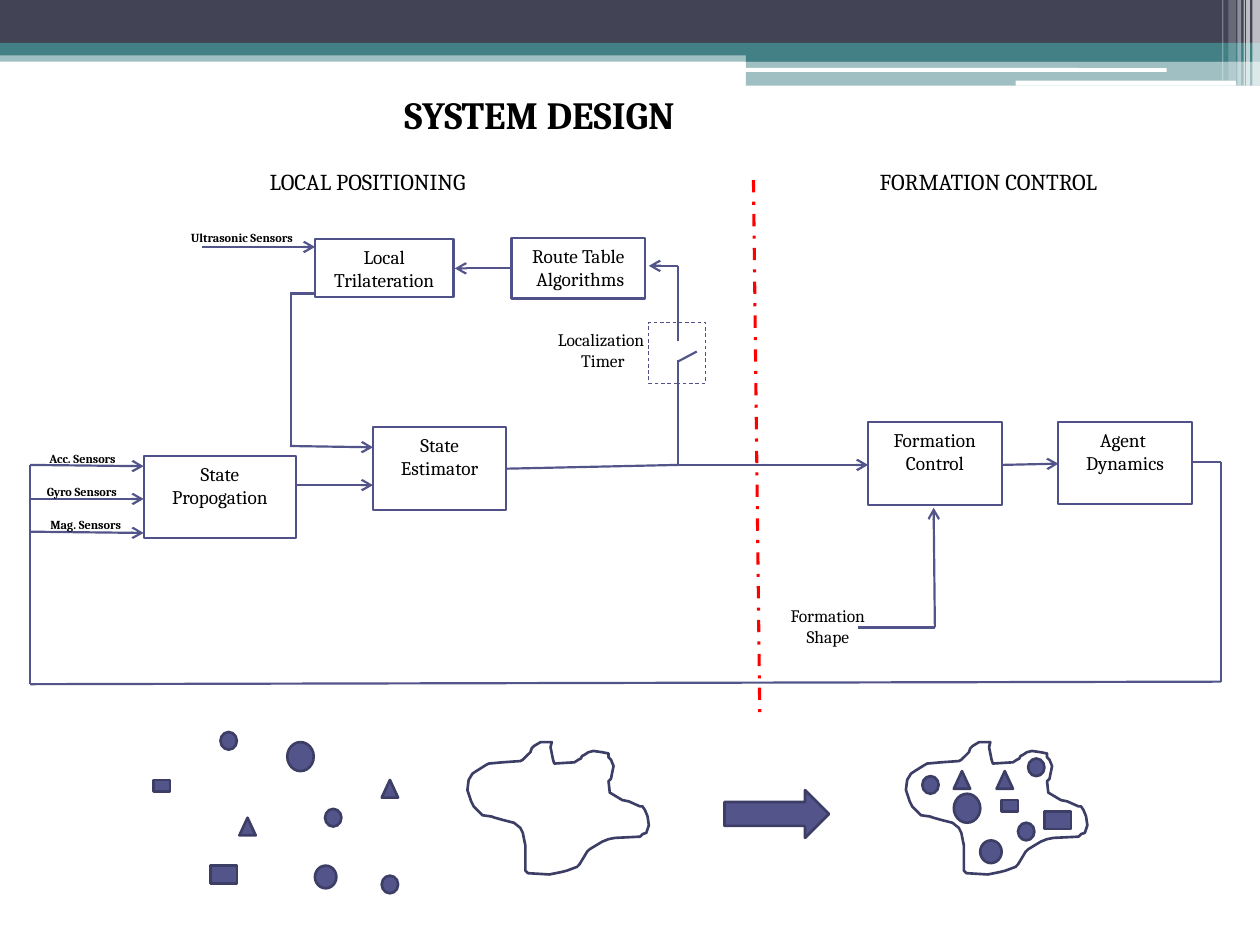
from lxml.etree import SubElement
from pptx import Presentation
from pptx.dml.color import RGBColor
from pptx.enum.dml import MSO_LINE
from pptx.enum.shapes import MSO_CONNECTOR, MSO_SHAPE
from pptx.enum.text import MSO_ANCHOR, PP_ALIGN
from pptx.oxml.ns import qn
from pptx.util import Inches, Pt

DARK = RGBColor(0x42, 0x44, 0x56)
TEAL = RGBColor(0x43, 0x80, 0x86)
WHITE = RGBColor(0xFF, 0xFF, 0xFF)
BLACK = RGBColor(0, 0, 0)
RED = RGBColor(0xFF, 0, 0)
FILL = RGBColor(0x53, 0x54, 0x8A)
EDGE = RGBColor(0x3D, 0x3E, 0x66)
FRAME = RGBColor(0x50, 0x51, 0x88)

RECT, ROUND = MSO_SHAPE.RECTANGLE, MSO_SHAPE.ROUNDED_RECTANGLE
OVAL, TRI = MSO_SHAPE.OVAL, MSO_SHAPE.ISOSCELES_TRIANGLE
LEFT, MID = PP_ALIGN.LEFT, PP_ALIGN.CENTER

deck = Presentation()
deck.slide_width, deck.slide_height = Inches(10), Inches(7.5)
UNIT = deck.slide_width // 1000  # the grid has 1000 columns and 750 rows
slide = deck.slides.add_slide(deck.slide_layouts[6])
shapes = slide.shapes


def draw(kind, place, fill=None, line=None, width=1.5):
    """Add a preset shape at a grid place (left, top, width, height)."""
    item = shapes.add_shape(kind, *(n * UNIT for n in place))
    item.shadow.inherit = False
    if fill is None:
        item.fill.background()
    else:
        item.fill.solid()
        item.fill.fore_color.rgb = fill
    if line is None:
        item.line.fill.background()
    else:
        item.line.color.rgb = line
        item.line.width = Pt(width)
    return item


def write(item, text, size, align=MID, bold=False, wrap=True):
    """Put one paragraph per line of text into a shape."""
    frame = item.text_frame
    look = {"word_wrap": wrap, "vertical_anchor": MSO_ANCHOR.TOP,
            "margin_left": Inches(0.09), "margin_right": Inches(0.09),
            "margin_top": Inches(0.05), "margin_bottom": Inches(0.05),
            "text": text}
    for name, value in look.items():
        setattr(frame, name, value)
    for para in frame.paragraphs:
        para.alignment = align
        font = para.runs[0].font
        for name, value in {"name": "Cambria", "size": Pt(size), "bold": bold}.items():
            setattr(font, name, value)
        font.color.rgb = BLACK


# Header bands and stripes: kind, place, colour, opacity in percent
bands = [
    (RECT, (0, 40, 1000, 9), TEAL, 50),
    (RECT, (0, 0, 1000, 34), DARK, 100),
    (RECT, (0, 34, 1000, 10), TEAL, 100),
    (RECT, (592, 39, 408, 10), TEAL, 100),
    (RECT, (592, 48, 408, 20), TEAL, 50),
    (ROUND, (591, 54, 335, 3), WHITE, 100),
    (ROUND, (806, 64, 175, 4), WHITE, 100),
    (RECT, (994, 0, 6, 68), WHITE, 65),
    (RECT, (989, 0, 3, 68), WHITE, 65),
    (RECT, (987, 0, 1, 68), WHITE, 60),
    (RECT, (982, 0, 3, 68), WHITE, 40),
    (RECT, (975, 0, 6, 64), WHITE, 20),
    (RECT, (970, 0, 1, 64), WHITE, 30),
]
for kind, place, color, share in bands:
    band = draw(kind, place, color)
    if share < 100:
        tone = band.fill._xPr.find(".//" + qn("a:srgbClr"))
        SubElement(tone, qn("a:alpha")).set("val", str(share * 1000))

# Formation outline, before and after the agents fill it
rim = [
    (67, 0), (66, 4), (68, 14), (69, 17), (85, 16), (88, 14), (90, 13), (91, 11),
    (93, 10), (96, 8), (100, 7), (107, 8), (112, 9), (112, 12), (114, 14),
    (116, 19), (114, 29), (112, 31), (113, 40), (118, 43), (123, 46), (128, 47),
    (137, 51), (139, 51), (141, 54), (143, 59), (144, 66), (142, 72), (139, 73),
    (137, 75), (117, 76), (112, 77), (107, 79), (102, 82), (97, 85), (95, 87),
    (89, 97), (87, 99), (79, 102), (75, 103), (65, 105), (48, 104), (46, 102),
    (46, 82), (44, 72), (42, 68), (37, 64), (29, 62), (22, 60), (19, 59),
    (12, 58), (9, 55), (5, 51), (3, 47), (1, 41), (0, 38), (1, 30), (4, 25),
    (7, 23), (15, 18), (17, 17), (28, 16), (42, 15), (44, 14), (50, 8), (51, 5),
    (53, 3), (58, 0),
]
for left in (371, 719):
    pen = shapes.build_freeform(*rim[0], scale=UNIT)
    pen.add_line_segments(rim[1:], close=True)
    blob = pen.convert_to_shape(left * UNIT, 589 * UNIT)
    blob.shadow.inherit = False
    blob.fill.background()
    blob.line.color.rgb = EDGE
    blob.line.width = Pt(1.5)

# Agents: kind, size, loose and formed spots
agents = [
    (OVAL, (13, 14), [(175, 581), (258, 642), (303, 695),
                      (732, 616), (816, 602), (808, 653)]),
    (OVAL, (21, 23), [(228, 589), (757, 630)]),
    (OVAL, (17, 18), [(250, 687), (778, 667)]),
    (TRI, (13, 14), [(190, 649), (303, 619), (757, 612), (791, 612)]),
    (RECT, (21, 14), [(167, 687), (829, 644)]),
    (RECT, (13, 9), [(122, 619), (795, 635)]),
]
for kind, size, spots in agents:
    for spot in spots:
        draw(kind, spot + size, FILL, EDGE)
draw(MSO_SHAPE.RIGHT_ARROW, (575, 627, 83, 38), FILL, EDGE)

# Blocks of the diagram
blocks = [
    ("Local Trilateration", (250, 190, 110, 46)),
    ("Route Table\n Algorithms", (406, 189, 106, 48)),
    ("State Propogation", (114, 362, 121, 65)),
    ("State Estimator", (296, 339, 106, 66)),
    ("Formation Control", (689, 335, 106, 66)),
    ("Agent \nDynamics", (840, 335, 106, 65)),
]
for text, place in blocks:
    write(draw(RECT, place, None, FRAME, 1.25), text, 11)
timer = draw(RECT, (515, 256, 45, 48), None, FRAME, 0.5)
timer.line.dash_style = MSO_LINE.DASH

# Wires: from x, y to x, y
plain = [
    (538, 271, 538, 211), (231, 232, 231, 354), (538, 287, 553, 279),
    (538, 286, 538, 370), (402, 372, 538, 369), (681, 498, 742, 498),
    (969, 367, 946, 367), (969, 367, 969, 541), (969, 541, 24, 543),
    (24, 543, 24, 369), (231, 233, 251, 233),
]
arrows = [
    (538, 211, 515, 211), (406, 213, 361, 213), (230, 354, 296, 355),
    (538, 369, 689, 369), (742, 498, 741, 403), (795, 369, 840, 368),
    (24, 369, 114, 370), (24, 396, 114, 396), (24, 422, 114, 423),
    (235, 385, 296, 385), (160, 196, 250, 196),
]
split = (598, 143, 603, 567)
for ends in plain + arrows + [split]:
    wire = shapes.add_connector(MSO_CONNECTOR.STRAIGHT, *(n * UNIT for n in ends))
    wire.line.color.rgb = RED if ends == split else FILL
    wire.line.width = Pt(1.75 if ends == split else 1.25)
    if ends == split:
        wire.line.dash_style = MSO_LINE.DASH_DOT
    if ends in arrows:
        SubElement(wire.line._get_or_add_ln(), qn("a:tailEnd")).set("type", "arrow")
    SubElement(wire._element.spPr, qn("a:effectLst"))

# Labels: text, place, size, alignment, bold, wrap
labels = [
    ("SYSTEM DESIGN", (312, 67, 296, 46), 22, LEFT, True, False),
    ("LOCAL POSITIONING", (205, 128, 227, 31), 13, LEFT, False, True),
    ("FORMATION CONTROL", (689, 128, 242, 31), 13, LEFT, False, True),
    ("Localization \nTimer", (430, 256, 97, 45), 10, MID, False, False),
    ("Formation\nShape", (615, 475, 84, 45), 10, MID, False, False),
    ("Acc. Sensors", (24, 353, 83, 21), 7, MID, True, False),
    ("Gyro Sensors", (21, 379, 88, 21), 7, MID, True, False),
    ("Mag. Sensors", (25, 406, 86, 21), 7, MID, True, False),
    ("Ultrasonic Sensors", (135, 178, 114, 21), 7, MID, True, False),
]
for text, place, *look in labels:
    write(shapes.add_textbox(*(n * UNIT for n in place)), text, *look)

deck.save("out.pptx")
